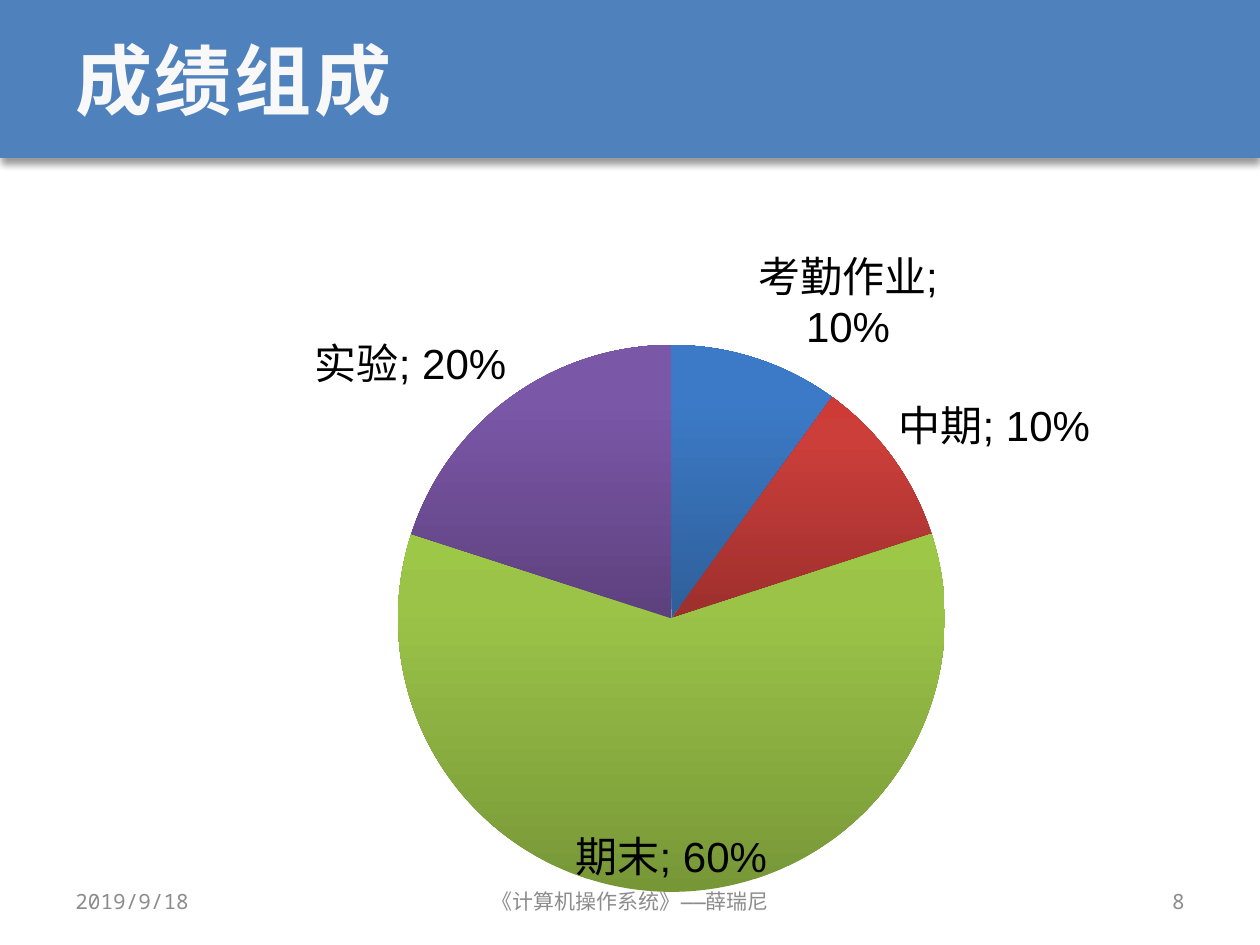
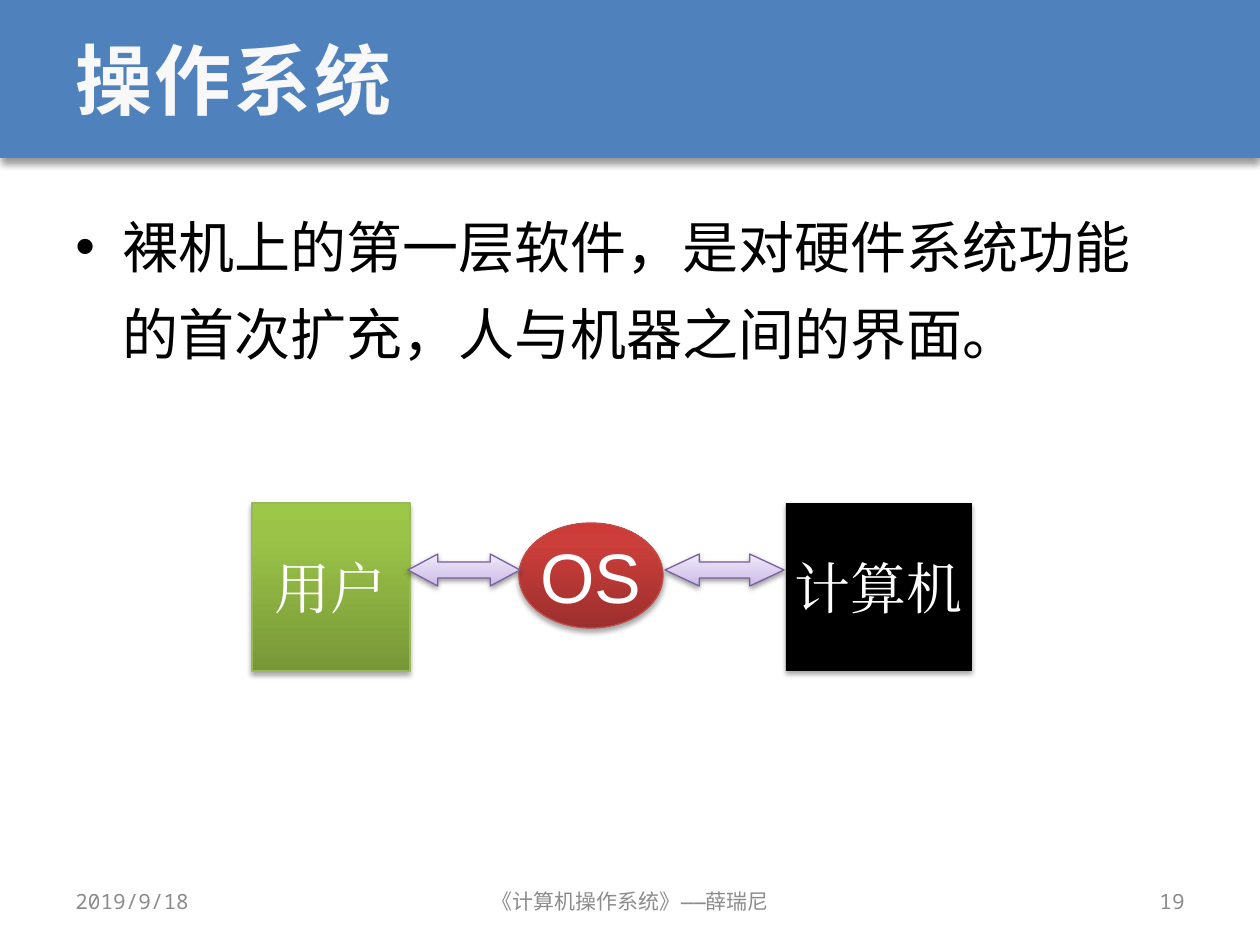
"""Build two slides: a grade pie and an operating system diagram."""
from copy import deepcopy
from lxml.etree import SubElement
from pptx import Presentation
from pptx.chart.data import CategoryChartData as ChartData
from pptx.dml.color import RGBColor as RGB
from pptx.enum.chart import XL_CHART_TYPE as Chart, XL_LABEL_POSITION as Spot
from pptx.enum.lang import MSO_LANGUAGE_ID as Lang
from pptx.enum.shapes import MSO_SHAPE as Kind
from pptx.enum.text import MSO_ANCHOR as Anchor, PP_ALIGN as Align
from pptx.oxml.ns import qn
from pptx.util import Emu, Pt


class Theme:
    """Colours, type and shadows."""
    band, head, ink, white, grey = "4F81BD", "F8F8F8", "000000", "FFFFFF", "8C8C8C"
    blue = ((0, "2E5F99"), (80, "3C7AC7"), (100, "397BC9"))
    red = ((0, "9C2F2D"), (80, "CB3E3A"), (100, "CE3B37"))
    green = ((0, "779737"), (80, "9BC348"), (100, "9DC746"))
    purple = ((0, "5D417E"), (80, "7B57A8"), (100, "7B58A6"))
    lilac = ((0, "C9B5E8"), (35, "D8CBEE"), (100, "F0EAF9"))
    rim = {green: "98B955", red: "BF4C48", lilac: "7D60A0"}
    mono, sans, serif = "Noto Sans Mono", "Arial", "Times New Roman"
    title = dict(name=mono, size=Pt(44), bold=True)
    body = dict(name=mono, size=Pt(32))
    foot = dict(name=mono, size=Pt(12))
    node = dict(name=serif, size=Pt(32))
    core = dict(name=sans, size=Pt(40))
    label = dict(name=sans, size=Pt(24))
    deep, soft, pale = (40, 4, 3), (35, 3.1, 1.8), (38, 3.1, 1.6)


T = Theme
WIDE, HIGH = 1260, 945
DATE, COURSE = "2019/9/18", "《计算机操作系统》——薛瑞尼"
GRADES = [
    ("考勤作业", 0.1, T.blue, Spot.OUTSIDE_END),
    ("中期", 0.1, T.red, Spot.OUTSIDE_END),
    ("期末", 0.6, T.green, Spot.INSIDE_END),
    ("实验", 0.2, T.purple, Spot.OUTSIDE_END),
]
PIE_BOX, DISC = (63, 220, 1162, 689), (398, 345, 547, 547)
POINT = "裸机上的第一层软件，是对硬件系统功能的首次扩充，人与机器之间的界面。"
NODES = [
    (Kind.RECTANGLE, "用户", (252, 503, 158, 168), T.green, T.node),
    (Kind.RECTANGLE, "计算机", (786, 503, 186, 168), T.ink, T.node),
    (Kind.OVAL, "OS", (519, 523, 144, 105), T.red, T.core),
]
ARROWS = [((408, 554, 112, 32), 0.93), ((665, 554, 119, 32), 1.07)]


def px(n):
    return Emu(round(n * 914400 / 126))


def place(box):
    return [px(n) for n in box]


def style(font, fmt, tint):
    for key, val in fmt.items():
        setattr(font, key, val)
    font.color.rgb = RGB.from_string(tint)


def paint(fill, tone):
    if isinstance(tone, str):
        fill.solid()
        fill.fore_color.rgb = RGB.from_string(tone)
        return
    fill.gradient()
    fill.gradient_angle = 90
    stops = fill._xPr.find(".//" + qn("a:gsLst"))
    stops.append(deepcopy(stops[-1]))
    for stop, (pos, tint) in zip(fill.gradient_stops, tone):
        stop.position = pos / 100
        stop.color.rgb = RGB.from_string(tint)


def shade(shape, alpha, blur, dist):
    shape.shadow.inherit = False
    glow = shape._element.spPr.find(qn("a:effectLst"))
    drop = SubElement(glow, qn("a:outerShdw"), blurRad=str(Pt(blur)), dist=str(Pt(dist)),
                      dir="5400000", rotWithShape="0")
    tint = SubElement(drop, qn("a:srgbClr"), val=T.ink)
    SubElement(tint, qn("a:alpha"), val=str(alpha * 1000))


def block(slide, kind, box, tone, drop):
    shape = slide.shapes.add_shape(kind, *place(box))
    paint(shape.fill, tone)
    if tone in T.rim:
        shape.line.color.rgb = RGB.from_string(T.rim[tone])
        shape.line.width = Pt(0.75)
    else:
        shape.line.fill.background()
    shade(shape, *drop)
    return shape


def write(shape, text, fmt, tint, align=Align.LEFT, anchor=Anchor.MIDDLE, wrap=True):
    frame = shape.text_frame
    frame.word_wrap, frame.vertical_anchor = wrap, anchor
    para = frame.paragraphs[0]
    para.alignment = align
    run = para.add_run()
    run.text = text
    style(run.font, fmt | dict(language_id=Lang.SIMPLIFIED_CHINESE), tint)
    SubElement(run._r.rPr, qn("a:ea"), typeface=fmt["name"])
    return para


def label(slide, box, *args, **opts):
    return write(slide.shapes.add_textbox(*place(box)), *args, **opts)


def start(deck, title):
    slide = deck.slides.add_slide(deck.slide_layouts[6])
    block(slide, Kind.RECTANGLE, (0, 0, WIDE, 158), T.band, T.deep)
    para = label(slide, (63, 0, 1134, 158), title, T.title, T.head)
    para.runs[0]._r.rPr.set("spc", "150")
    return slide


def finish(slide, number):
    feet = [(63, 294, DATE, Align.LEFT), (431, 399, COURSE, Align.CENTER),
            (903, 294, number, Align.RIGHT)]
    for left, width, text, align in feet:
        label(slide, (left, 876, width, 50), text, T.foot, T.grey, align)


def split(tags):
    mark = tags.makeelement(qn("c:separator"))
    mark.text = "; "
    tags.find(qn("c:showBubbleSize")).addnext(mark)


def frame_pie(chart):
    area = chart._chartSpace.chart.plotArea
    for old in area.findall(qn("c:layout")):
        area.remove(old)
    grid = area.makeelement(qn("c:layout"))
    area.insert(0, grid)
    rule = SubElement(grid, qn("c:manualLayout"))
    left, top, width, height = PIE_BOX
    x, y, w, h = DISC
    parts = dict(layoutTarget="inner", xMode="edge", yMode="edge", x=(x - left) / width,
                 y=(y - top) / height, w=w / width, h=h / height)
    for key, val in parts.items():
        SubElement(rule, qn("c:" + key), val=str(val))


def draw_pie(slide):
    data = ChartData(number_format="0%")
    data.categories = [row[0] for row in GRADES]
    data.add_series("Series 1", [row[1] for row in GRADES])
    chart = slide.shapes.add_chart(Chart.PIE, *place(PIE_BOX), data).chart
    chart.has_legend = chart.has_title = False
    style(chart.font, T.label, T.ink)
    plot = chart.plots[0]
    plot.vary_by_categories = True
    series = plot.series[0]
    tags = series.data_labels
    form = dict(show_value=True, show_category_name=True, number_format="0%",
                number_format_is_linked=False, position=Spot.OUTSIDE_END)
    for key, val in form.items():
        setattr(tags, key, val)
    style(tags.font, T.label, T.ink)
    split(tags._element)
    for i, (_, _, tone, spot) in enumerate(GRADES):
        point = series.points[i]
        paint(point.format.fill, tone)
        point.format.line.fill.background()
        tag = point.data_label
        style(tag.font, T.label, T.ink)
        tag.position = spot
    for node in tags._element.findall(qn("c:dLbl")):
        node.find(qn("c:showCatName")).set("val", "1")
        split(node)
    frame_pie(chart)


def draw_point(slide):
    para = label(slide, (63, 186, 1134, 672), POINT, T.body, T.ink, anchor=Anchor.TOP)
    para.line_spacing = 1.3
    props = para._p.get_or_add_pPr()
    props.set("marL", str(px(47)))
    props.set("indent", str(-px(47)))
    SubElement(props, qn("a:buFont"), typeface=T.sans)
    SubElement(props, qn("a:buChar"), char="•")


def draw_links(slide):
    for kind, text, box, tone, fmt in NODES:
        shape = block(slide, kind, box, tone, T.soft)
        write(shape, text, fmt, T.white, Align.CENTER, wrap=False)
    for box, tip in ARROWS:
        arrow = block(slide, Kind.LEFT_RIGHT_ARROW, box, T.lilac, T.pale)
        arrow.adjustments[0], arrow.adjustments[1] = 0.5, tip


def main():
    deck = Presentation()
    deck.slide_width, deck.slide_height = px(WIDE), px(HIGH)
    pages = [("成绩组成", "8", [draw_pie]), ("操作系统", "19", [draw_point, draw_links])]
    for title, number, parts in pages:
        slide = start(deck, title)
        for draw in parts:
            draw(slide)
        finish(slide, number)
    deck.save("out.pptx")


if __name__ == "__main__":
    main()
